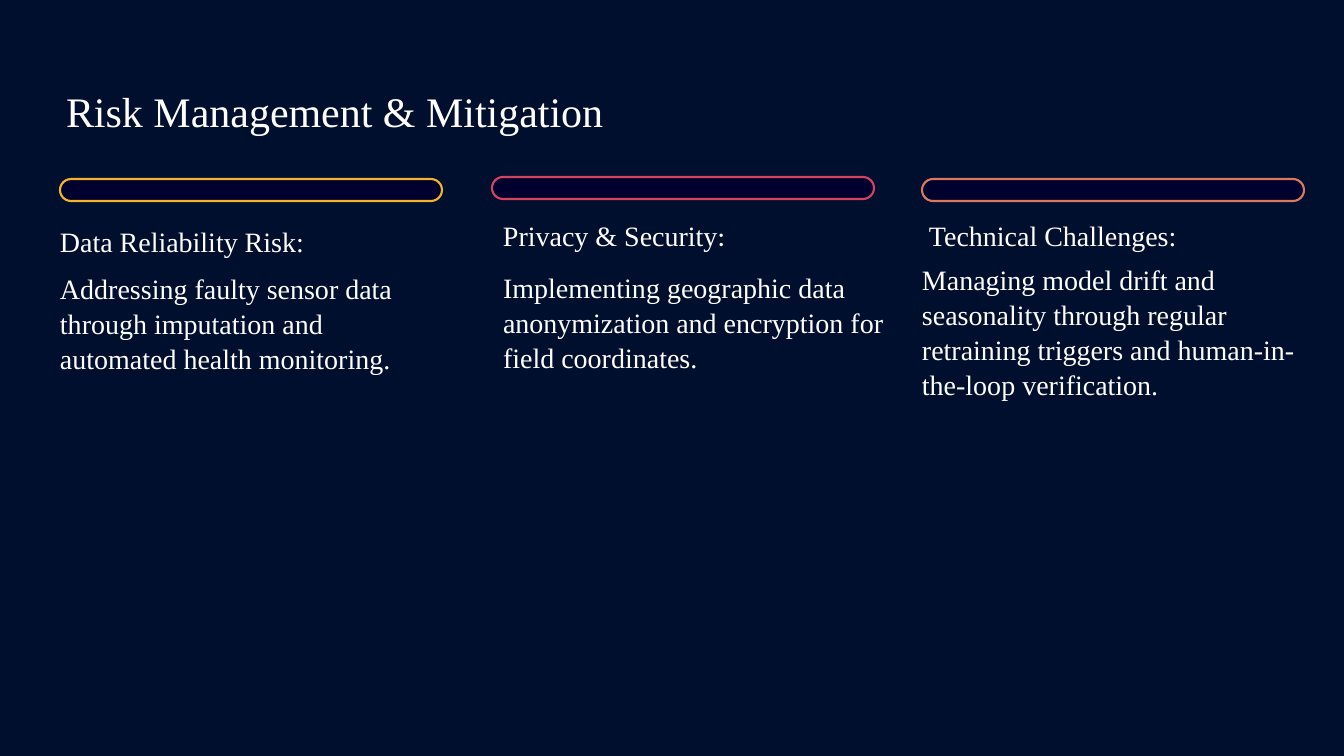
from pptx import Presentation
from pptx.dml.color import RGBColor
from pptx.enum import shapes, text
from pptx.util import Emu, Pt


def px(*lengths):
    return [Emu(round(n * 914400 / 84)) for n in lengths]


def write(s, words, size, spacing):
    tf = s.text_frame
    tf.word_wrap = True
    tf.auto_size = text.MSO_AUTO_SIZE.NONE
    tf.vertical_anchor = text.MSO_ANCHOR.TOP
    tf.margin_left = tf.margin_top = tf.margin_right = tf.margin_bottom = 0
    p = tf.paragraphs[0]
    p.alignment = text.PP_ALIGN.LEFT
    p.line_spacing = Pt(spacing)
    for word, font in words:
        r = p.add_run()
        r.text = word
        r.font.name = font
        r.font.size = Pt(size)
        r.font.color.rgb = RGBColor.from_string("FFFFFF")


prs = Presentation()
prs.slide_width, prs.slide_height = px(1344, 756)
slide = prs.slides.add_slide(prs.slide_layouts[5])
slide.background.fill.solid()
slide.background.fill.fore_color.rgb = RGBColor.from_string("000F2E")
SERIF = "Times New Roman"

# Title
title = slide.shapes.title
title.left, title.top, title.width, title.height = px(66, 72, 1206, 65)
write(title, [("Risk Management & Mitigation", SERIF)], 36, 55)

# Risk columns: bar (left, top, colour), heading and body (text, box)
risks = [
    ((60, 179, "F2B42D"),
     [("Data Reliability Risk:", SERIF)], (60, 226, 412, 44),
     "Addressing faulty sensor data through imputation and automated health monitoring.",
     (60, 270, 382, 281)),
    ((492, 177, "D7425E"),
     [("Privacy & Security", SERIF), (":", "Calibri")], (503, 220, 360, 32),
     "Implementing geographic data anonymization and encryption for field coordinates.",
     (503, 269, 382, 111)),
    ((922, 179, "DD785E"),
     [("Technical Challenges:", SERIF)], (929, 220, 369, 32),
     "Managing model drift and seasonality through regular retraining triggers "
     "and human-in-the-loop verification.",
     (922, 261, 412, 300)),
]
for (left, top, colour), heading, heading_box, body, body_box in risks:
    bar = slide.shapes.add_shape(shapes.MSO_SHAPE.ROUNDED_RECTANGLE, *px(left, top, 382, 22))
    bar.adjustments[0] = 0.5
    bar.shadow.inherit = False
    bar.fill.solid()
    bar.fill.fore_color.rgb = RGBColor.from_string("00002E")
    bar.line.color.rgb = RGBColor.from_string(colour)
    bar.line.width = Pt(1.8)
    write(slide.shapes.add_textbox(*px(*heading_box)), heading, 24, 27.5)
    write(slide.shapes.add_textbox(*px(*body_box)), [(body, SERIF)], 24, 30)

prs.save("out.pptx")
